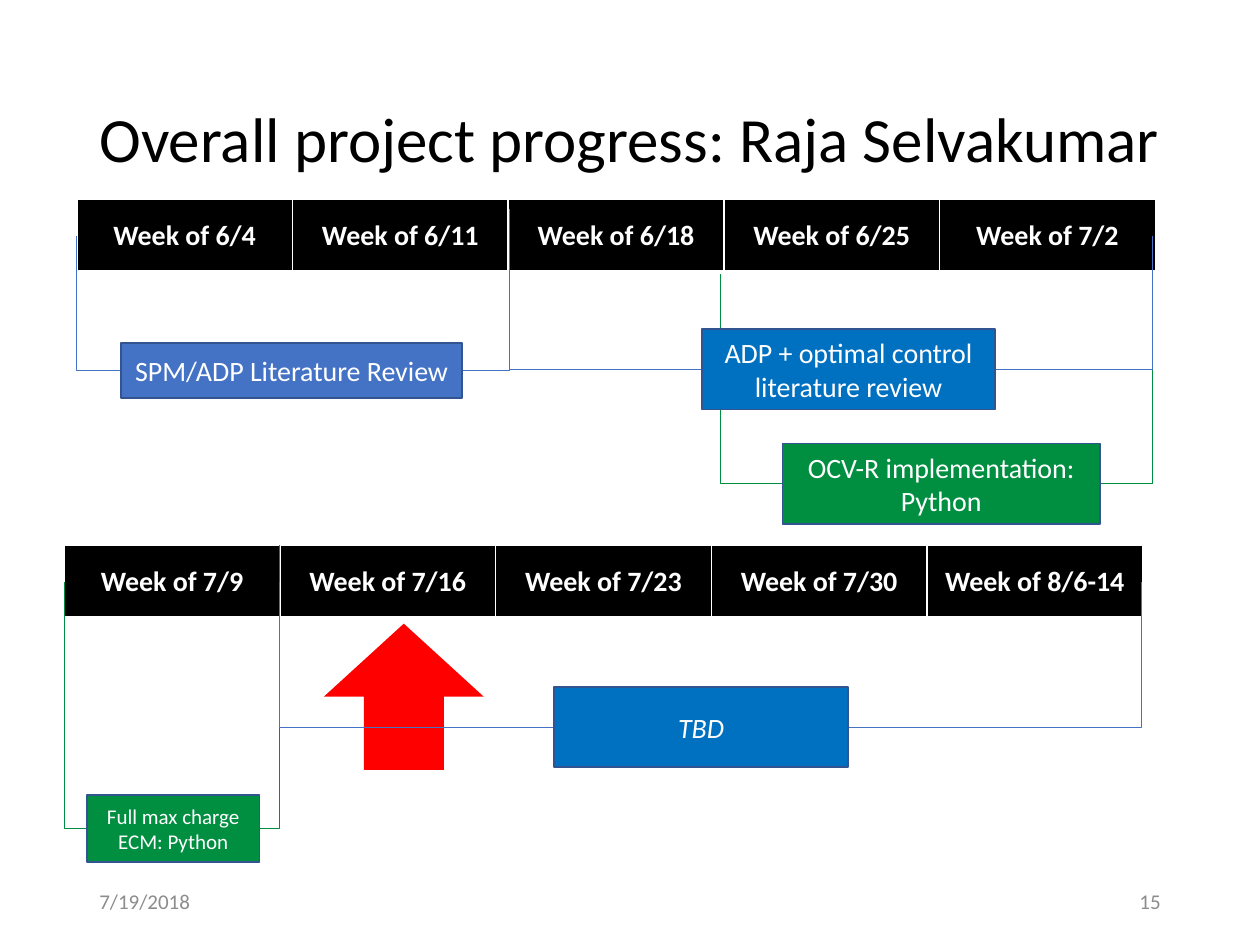
from lxml.etree import SubElement
from pptx import Presentation
from pptx.dml.color import RGBColor
from pptx.enum.shapes import MSO_CONNECTOR, MSO_SHAPE
from pptx.enum.text import MSO_ANCHOR, PP_ALIGN
from pptx.oxml import parse_xml
from pptx.oxml.ns import nsdecls, qn
from pptx.util import Inches, Pt

BLUE, DEEP_BLUE, GREEN = "4472C4", "0070C0", "008E40"
OUTLINE, RED, GRAY, BLACK, WHITE = "325491", "FF0000", "8C8C8C", "000000", "FFFFFF"


def color(value):
    return RGBColor.from_string(value)


def inches(*lengths):
    return [Inches(length) for length in lengths]


def write(frame, text, size, hue, align, bold=False, italic=False):
    frame.word_wrap = True
    frame.vertical_anchor = MSO_ANCHOR.MIDDLE
    para = frame.paragraphs[0]
    para.text = text
    para.alignment = align
    font = para.font
    font.name, font.size, font.bold, font.italic = "Calibri", Pt(size), bold, italic
    font.color.rgb = color(hue)
    return para


def add_label(page, box, text, size, hue, align=PP_ALIGN.LEFT):
    frame = page.shapes.add_textbox(*inches(*box)).text_frame
    return write(frame, text, size, hue, align)


def add_block(page, kind, box, fill, outline=None):
    block = page.shapes.add_shape(kind, *inches(*box))
    block.shadow.inherit = False
    block.fill.solid()
    block.fill.fore_color.rgb = color(fill)
    if outline:
        block.line.color.rgb = color(outline)
        block.line.width = Pt(1)
    else:
        block.line.fill.background()
    return block


def add_elbow(page, start, end, hue):
    """Horizontal run from start, then a vertical run up to end."""
    elbow = page.shapes.add_connector(MSO_CONNECTOR.ELBOW, *inches(*start, *end))
    elbow.line.color.rgb = color(hue)
    elbow.line.width = Pt(0.5)
    properties = elbow._element.spPr
    guides = properties.find(qn("a:prstGeom")).get_or_add_avLst()
    SubElement(guides, qn("a:gd"), name="adj1", fmla="val 100000")
    SubElement(properties, qn("a:effectLst"))


def add_task(page, box, text, fill, hue, left_end, right_end, size=16, italic=False):
    """Task box with a bracket up to the first and last week it spans."""
    left, top, width, height = box
    middle = top + height / 2
    add_elbow(page, (left, middle), left_end, hue)
    add_elbow(page, (left + width, middle), right_end, hue)
    block = add_block(page, MSO_SHAPE.RECTANGLE, box, fill, OUTLINE)
    write(block.text_frame, text, size, WHITE, PP_ALIGN.CENTER, italic=italic)


def add_weeks(page, box, weeks):
    table = page.shapes.add_table(1, len(weeks), *inches(*box)).table
    for column, week in zip(table.columns, weeks):
        column.width = Inches(box[2] / len(weeks))
    for cell, week in zip(table.rows[0].cells, weeks):
        write(cell.text_frame, f"Week of {week}", 16, WHITE, PP_ALIGN.CENTER, bold=True)
        cell.vertical_anchor = MSO_ANCHOR.MIDDLE
        cell.fill.solid()
        cell.fill.fore_color.rgb = color(BLACK)
        # Cell borders come before the fill
        properties = cell._tc.get_or_add_tcPr()
        for index, (side, width) in enumerate(zip("LRTB", (1, 1, 1, 3))):
            properties.insert(index, parse_xml(
                f'<a:ln{side} {nsdecls("a")} w="{Pt(width)}"><a:solidFill>'
                f'<a:srgbClr val="{WHITE}"/></a:solidFill></a:ln{side}>'))


def add_june(page, box):
    left, top, width, height = box
    right, middle = left + width, top + height / 2
    add_task(page, (6.21, 3.52, 2.52, 0.64), "OCV-R implementation: Python",
             GREEN, GREEN, (5.72, 1.85), (9.15, 1.85))
    add_weeks(page, box, ["6/4", "6/11", "6/18", "6/25", "7/2"])
    add_task(page, (0.96, 2.72, 2.71, 0.44), "SPM/ADP Literature Review",
             BLUE, BLUE, (left, middle), (4.04, 1.66))
    add_task(page, (5.57, 2.61, 2.33, 0.64), "ADP + optimal control literature review",
             DEEP_BLUE, BLUE, (4.04, middle), (right - 0.02, middle))


def add_july(page, box):
    left, top, width, height = box
    right, middle = left + width, top + height / 2
    second_week = left + width / 5
    add_weeks(page, box, ["7/9", "7/16", "7/23", "7/30", "8/6-14"])
    # Current week marker
    add_block(page, MSO_SHAPE.UP_ARROW, (2.57, 4.95, 1.27, 1.16), RED)
    add_task(page, (0.69, 6.31, 1.37, 0.53), "Full max charge ECM: Python",
             GREEN, GREEN, (left, middle), (second_week, top), size=12)
    add_task(page, (4.4, 5.45, 2.33, 0.64), "TBD",
             DEEP_BLUE, BLUE, (second_week, middle), (right - 0.01, middle), italic=True)


def main():
    deck = Presentation()
    deck.slide_width, deck.slide_height = inches(10, 7.5)
    page = deck.slides.add_slide(deck.slide_layouts[6])
    title = add_label(page, (0.69, 0.4, 8.62, 1.45),
                      "Overall project progress: Raja Selvakumar", 36, BLACK)
    title.line_spacing = 0.9
    add_june(page, (0.61, 1.58, 8.56, 0.58))
    add_july(page, (0.51, 4.33, 8.56, 0.58))
    # Footer
    add_label(page, (0.69, 6.95, 2.25, 0.4), "7/19/2018", 12, GRAY)
    add_label(page, (7.06, 6.95, 2.25, 0.4), "15", 12, GRAY, PP_ALIGN.RIGHT)
    deck.save("out.pptx")


if __name__ == "__main__":
    main()
